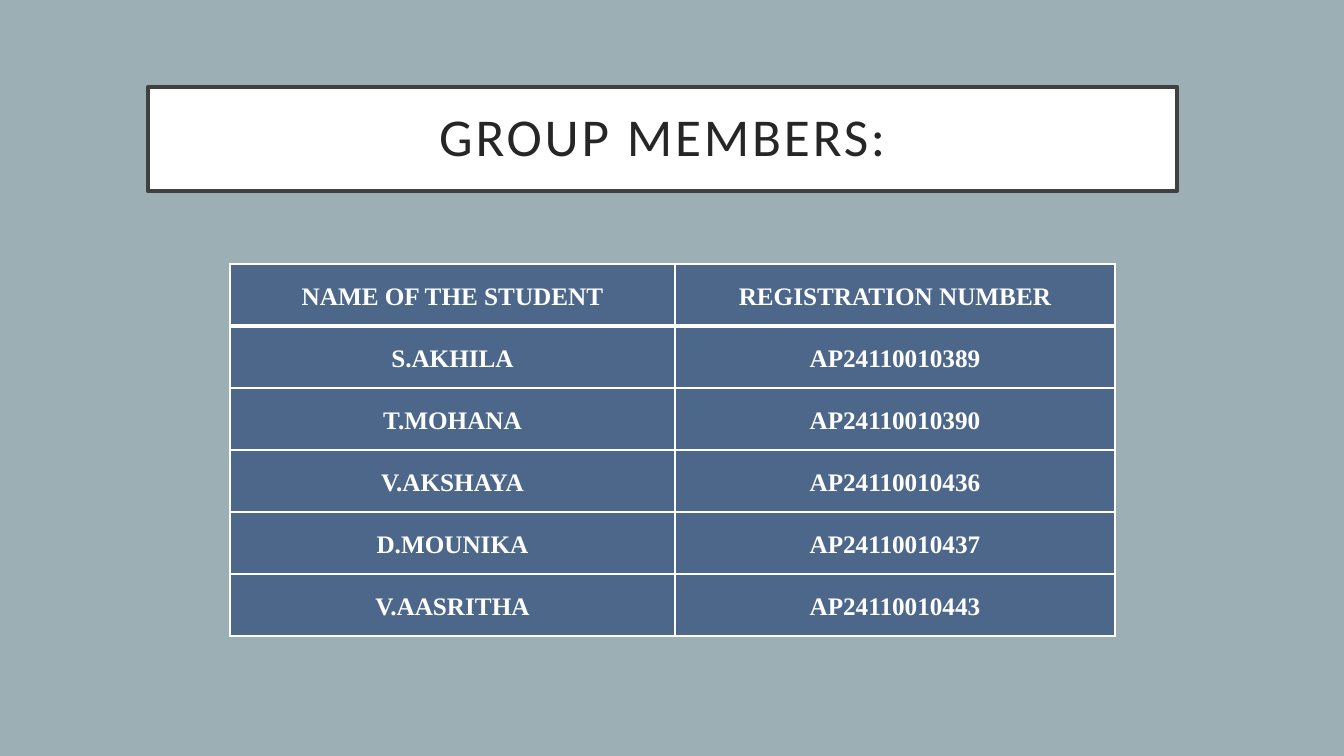
from lxml.etree import SubElement
from pptx import Presentation
from pptx.dml.color import RGBColor
from pptx.enum.shapes import MSO_SHAPE
from pptx.enum.text import MSO_ANCHOR, PP_ALIGN
from pptx.oxml import parse_xml
from pptx.oxml.ns import nsdecls, qn
from pptx.util import Pt

PX = 12192000 / 1344


def px(length):
    return round(length * PX)


def color(hex_code):
    return RGBColor.from_string(hex_code)


prs = Presentation()
prs.slide_width, prs.slide_height = px(1344), px(756)
slide = prs.slides.add_slide(prs.slide_layouts[6])
slide.background.fill.solid()
slide.background.fill.fore_color.rgb = color("9BAFB5")

heading = slide.shapes.add_shape(MSO_SHAPE.RECTANGLE, px(148), px(87), px(1029), px(104))
heading.shadow.inherit = False
heading.fill.solid()
heading.fill.fore_color.rgb = color("FFFFFF")
heading.line.color.rgb = color("404040")
heading.line.width = Pt(3)
heading_frame = heading.text_frame
heading_frame.word_wrap = True
heading_frame.vertical_anchor = MSO_ANCHOR.MIDDLE
heading_frame.margin_left = heading_frame.margin_right = px(30)
heading_frame.margin_top = heading_frame.margin_bottom = px(20)
heading_frame.text = "GROUP MEMBERS:"
heading_line = heading_frame.paragraphs[0]
heading_line.alignment = PP_ALIGN.CENTER
heading_line.line_spacing = 0.9
heading_run = heading_line.runs[0]
heading_run.font.name = "Calibri"
heading_run.font.size = Pt(38)
heading_run.font.color.rgb = color("262626")
heading_run.font._element.set("spc", "200")

members = [
    ("NAME OF THE STUDENT", "REGISTRATION NUMBER"),
    ("S.AKHILA", "AP24110010389"),
    ("T.MOHANA", "AP24110010390"),
    ("V.AKSHAYA", "AP24110010436"),
    ("D.MOUNIKA", "AP24110010437"),
    ("V.AASRITHA", "AP24110010443"),
]
column_widths = [445, 440]
row_height = 62
roster = slide.shapes.add_table(
    len(members), len(column_widths), px(230), px(264),
    px(sum(column_widths)), px(row_height * len(members)),
).table
for column, width in zip(roster.columns, column_widths):
    column.width = px(width)

for row_index, member in enumerate(members):
    roster.rows[row_index].height = px(row_height)
    for column_index, entry in enumerate(member):
        cell = roster.cell(row_index, column_index)
        cell.fill.solid()
        cell.fill.fore_color.rgb = color("002060")
        properties = cell._tc.get_or_add_tcPr()
        fill_color = properties.find(qn("a:solidFill")).find(qn("a:srgbClr"))
        SubElement(fill_color, qn("a:alpha"), val="50000")

        border_points = {
            "L": 1,
            "R": 1,
            "T": 3 if row_index == 1 else 1,
            "B": 3 if row_index == 0 else 1,
        }
        for position, (side, points) in enumerate(border_points.items()):
            properties.insert(position, parse_xml(
                f'<a:ln{side} {nsdecls("a")} w="{Pt(points)}"><a:solidFill>'
                f'<a:srgbClr val="FFFFFF"/></a:solidFill></a:ln{side}>'
            ))

        cell.text_frame.text = entry
        paragraph = cell.text_frame.paragraphs[0]
        paragraph.alignment = PP_ALIGN.CENTER
        paragraph.line_spacing = 1.5
        font = paragraph.runs[0].font
        font.name = "Times New Roman"
        font.size = Pt(18)
        font.bold = True
        font.color.rgb = color("FFFFFF")

prs.save("out.pptx")
